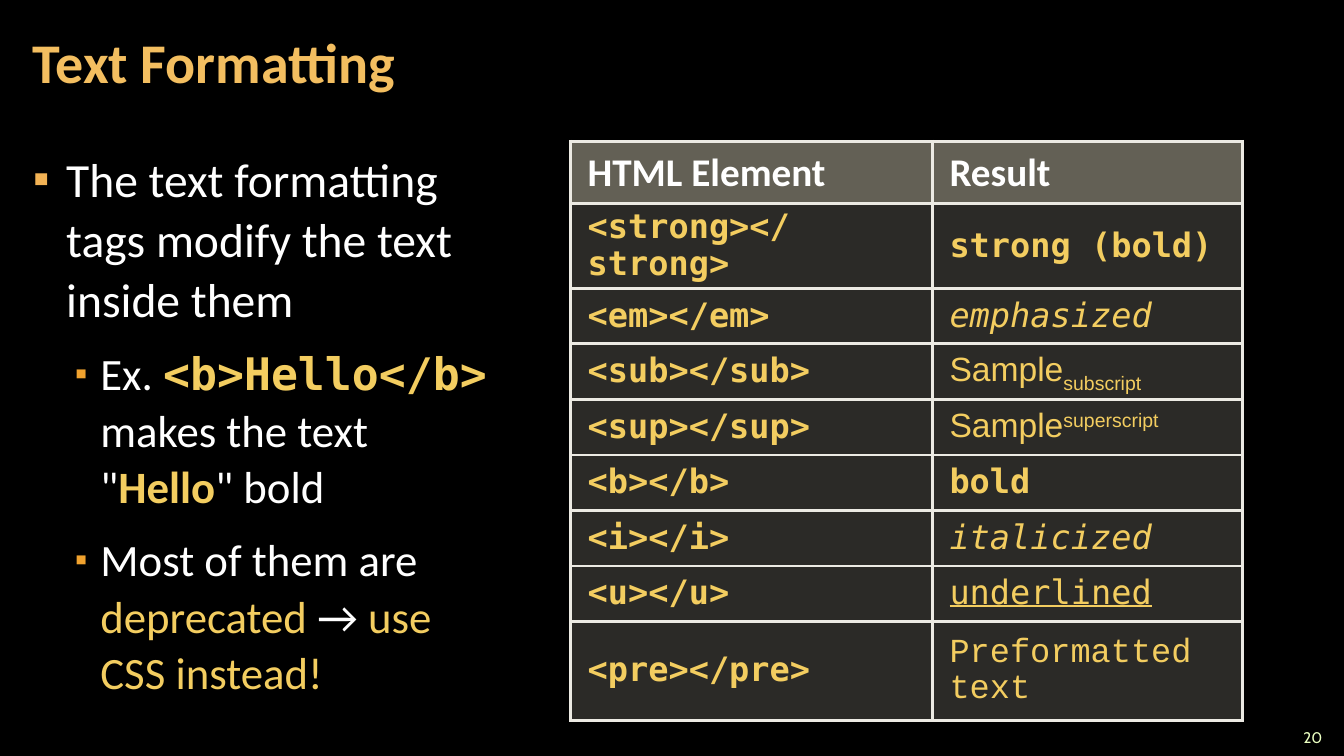
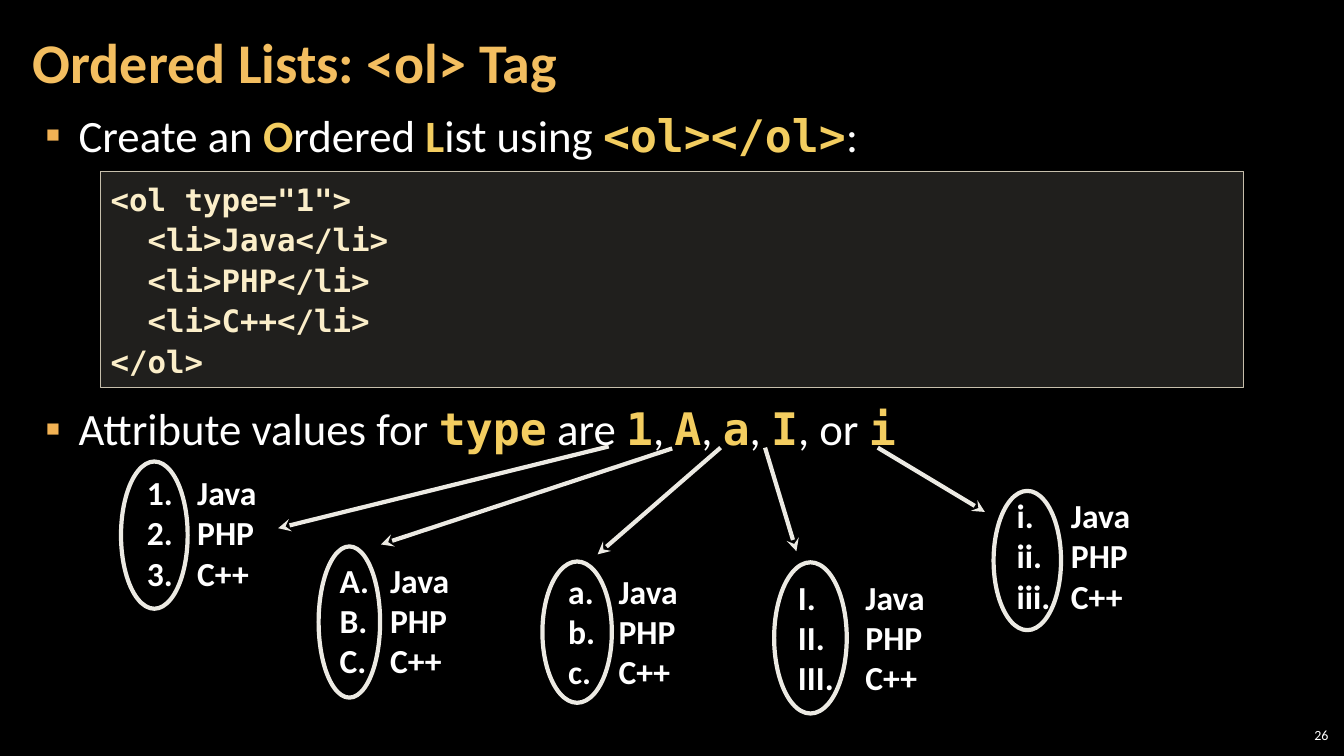
from typing import NamedTuple

from pptx import Presentation
from pptx.dml.color import RGBColor
from pptx.enum.shapes import MSO_CONNECTOR as Connector, MSO_SHAPE as Preset
from pptx.enum.text import MSO_ANCHOR as Anchor, MSO_AUTO_SIZE as AutoSize, PP_ALIGN as Align
from pptx.oxml.ns import qn
from pptx.oxml.xmlchemy import OxmlElement
from pptx.util import Cm, Pt

BLACK = RGBColor(0x00, 0x00, 0x00)
WHITE = RGBColor(0xFF, 0xFF, 0xFF)
TITLE_GOLD = RGBColor(0xF3, 0xBE, 0x60)
KEY_GOLD = RGBColor(0xF3, 0xCD, 0x60)
BULLET_GOLD = RGBColor(0xF2, 0xB2, 0x54)
SUB_BULLET_GOLD = RGBColor(0xF0, 0xA2, 0x2E)
CODE_CREAM = RGBColor(0xFB, 0xEE, 0xC9)
NUMBER_LIME = RGBColor(0xEB, 0xFF, 0xC2)
PANEL = RGBColor(0xD9, 0xD5, 0xC7)
HEADER_PANEL = RGBColor(0xC6, 0xC0, 0xAA)
CODE_EDGE = RGBColor(0xC7, 0xBF, 0xAC)
IVORY = RGBColor(0xEC, 0xEA, 0xE3)

SANS, MONO = "Calibri", "DejaVu Sans Mono"


class Style(NamedTuple):
    color: RGBColor = KEY_GOLD
    font: str = MONO
    bold: bool = False
    italic: bool = False
    underline: bool = False
    baseline: int = 0


PLAIN = Style(WHITE, SANS)
STRONG = Style(WHITE, SANS, bold=True)
HEADING = Style(TITLE_GOLD, SANS, bold=True)
ACCENT = Style(font=SANS)
KEY = Style(font=SANS, bold=True)
TAG = Style(bold=True)
ITALIC = Style(italic=True)
UNDERLINE = Style(underline=True)
SAMPLE = Style(font="Arial")
SUBSCRIPT = Style(font="Arial", baseline=-25)
SUPERSCRIPT = Style(font="Arial", baseline=30)
PREFORMATTED = Style(font="Courier New")
CODE = Style(CODE_CREAM, bold=True)


def add_xml(parent, tag, **attributes):
    child = OxmlElement(tag)
    for key, value in attributes.items():
        child.set(key, str(value))
    parent.append(child)
    return child


def set_alpha(fill_parent, percent):
    color = fill_parent.find(qn("a:solidFill")).find(qn("a:srgbClr"))
    add_xml(color, "a:alpha", val=percent * 1000)


class Deck:
    """Holds the shared style and the current slide."""

    def __init__(self):
        self.prs = Presentation()
        self.prs.slide_width, self.prs.slide_height = Cm(33.87), Cm(19.05)
        background = self.prs.slide_master.background.fill
        background.solid()
        background.fore_color.rgb = BLACK
        self.slide = None

    def frame(self, shape, margins=(0.25, 0.13), anchor=Anchor.TOP):
        frame = shape.text_frame
        frame.word_wrap = True
        frame.auto_size = AutoSize.NONE
        frame.vertical_anchor = anchor
        frame.margin_left = frame.margin_right = Cm(margins[0])
        frame.margin_top = frame.margin_bottom = Cm(margins[1])
        return frame

    def box(self, x, y, width, height, **layout):
        shape = self.slide.shapes.add_textbox(Cm(x), Cm(y), Cm(width), Cm(height))
        return self.frame(shape, **layout)

    def paragraph(self, frame, runs, size, spacing=1.0, gap=0, align=Align.LEFT, indent=0, hanging=0):
        paragraph = frame.add_paragraph() if frame.text else frame.paragraphs[0]
        paragraph.alignment = align
        paragraph.line_spacing = spacing
        paragraph.space_before = paragraph.space_after = Pt(gap)
        for text, style in runs:
            run = paragraph.add_run()
            run.text = text
            font = run.font
            font.size, font.name = Pt(size), style.font
            font.color.rgb = style.color
            font.bold, font.italic, font.underline = style.bold, style.italic, style.underline
            if style.baseline:
                run._r.get_or_add_rPr().set("baseline", str(style.baseline * 1000))
        properties = paragraph._p.get_or_add_pPr()
        properties.set("marL", str(Cm(indent)))
        properties.set("indent", str(-Cm(hanging)))
        return properties

    def bullet(self, frame, runs, size, level=0):
        indent, hanging, color, scale = (
            (0.84, 0.84, BULLET_GOLD, 100),
            (1.7, 0.64, SUB_BULLET_GOLD, 80),
        )[level]
        properties = self.paragraph(frame, runs, size, 1.05, 6, indent=indent, hanging=hanging)
        if level:
            properties.set("lvl", str(level))
        add_xml(add_xml(properties, "a:buClr"), "a:srgbClr", val=color)
        add_xml(properties, "a:buSzPct", val=scale * 1000)
        add_xml(properties, "a:buFont", typeface="Arial")
        add_xml(properties, "a:buChar", char="▪")

    def start(self, heading):
        self.slide = self.prs.slides.add_slide(self.prs.slide_layouts[5])
        title = self.slide.shapes.title
        title.left, title.top, title.width, title.height = Cm(0.53), Cm(0.1), Cm(26.6), Cm(3.07)
        frame = self.frame(title, (0.3, 0.1), Anchor.MIDDLE)
        self.paragraph(frame, [(heading, HEADING)], 40, 0.9)

    def number(self, text, style, size, **layout):
        frame = self.box(31.88, 18.21, 1.7, 0.64, **layout)
        self.paragraph(frame, [(text, style)], size, align=Align.RIGHT)

    def body(self, x, y, width, height):
        return self.box(x, y, width, height, margins=(0.3, 0.1))

    def table(self, x, y, widths, heights, rows):
        table = self.slide.shapes.add_table(
            len(rows), len(widths), Cm(x), Cm(y), Cm(sum(widths)), Cm(sum(heights))
        ).table
        table.horz_banding = False
        for column, width in zip(table.columns, widths):
            column.width = Cm(width)
        for index, (row, height, contents) in enumerate(zip(table.rows, heights, rows)):
            row.height = Cm(height)
            for cell, runs in zip(row.cells, contents):
                self.cell(cell, runs, is_header=index == 0)

    def cell(self, cell, runs, is_header):
        size, color, alpha = (28, HEADER_PANEL, 50) if is_header else (24, PANEL, 20)
        cell.vertical_anchor = Anchor.MIDDLE
        cell.margin_left = cell.margin_right = Cm(0.43)
        cell.margin_top = cell.margin_bottom = Cm(0.13)
        self.paragraph(cell.text_frame, runs, size, 0.95)
        properties = cell._tc.get_or_add_tcPr()
        for side in "LRTB":
            border = add_xml(properties, f"a:ln{side}", w=Pt(2.25))
            add_xml(add_xml(border, "a:solidFill"), "a:srgbClr", val=IVORY)
        cell.fill.solid()
        cell.fill.fore_color.rgb = color
        set_alpha(properties, alpha)

    def shape(self, preset, x, y, width, height, edge, weight):
        shape = self.slide.shapes.add_shape(preset, Cm(x), Cm(y), Cm(width), Cm(height))
        shape.shadow.inherit = False
        shape.fill.background()
        shape.line.color.rgb = edge
        shape.line.width = Pt(weight)
        return shape

    def code(self, x, y, width, height, lines):
        panel = self.shape(Preset.RECTANGLE, x, y, width, height, CODE_EDGE, 1)
        panel.fill.solid()
        panel.fill.fore_color.rgb = PANEL
        set_alpha(panel._element.spPr, 15)
        frame = self.frame(panel)
        for text, depth in lines:
            self.paragraph(frame, [(text, CODE)], 22, 1.1, indent=0.93 * depth)

    def numbered(self, x, y, scheme, indent, items):
        frame = self.box(x, y, 4.2, 3.33)
        for item in items:
            properties = self.paragraph(frame, [(item, STRONG)], 24, indent=indent, hanging=indent)
            add_xml(properties, "a:buFont", typeface=SANS)
            add_xml(properties, "a:buAutoNum", type=scheme)

    def arrow(self, start, end):
        arrow = self.slide.shapes.add_connector(Connector.STRAIGHT, *map(Cm, start + end))
        arrow.line.color.rgb = IVORY
        arrow.line.width = Pt(3)
        properties = arrow._element.spPr
        add_xml(properties.find(qn("a:ln")), "a:tailEnd", type="stealth")
        add_xml(properties, "a:effectLst")


def text_formatting(deck):
    deck.start("Text Formatting")
    points = deck.body(0.53, 3.6, 12.37, 14.4)
    deck.bullet(points, [("The text formatting tags modify the text inside them", PLAIN)], 34)
    deck.bullet(points, [
        ("Ex. ", PLAIN), ("<b>Hello</b>", TAG), (' makes the text "', PLAIN),
        ("Hello", KEY), ('" bold', PLAIN),
    ], 32, level=1)
    deck.bullet(points, [
        ("Most of them are ", PLAIN), ("deprecated ", ACCENT), ("→ ", PLAIN),
        ("use CSS instead!", ACCENT),
    ], 32, level=1)
    results = {
        "strong": [("strong (bold)", TAG)],
        "em": [("emphasized", ITALIC)],
        "sub": [("Sample", SAMPLE), ("subscript", SUBSCRIPT)],
        "sup": [("Sample", SAMPLE), ("superscript", SUPERSCRIPT)],
        "b": [("bold", TAG)],
        "i": [("italicized", ITALIC)],
        "u": [("underlined", UNDERLINE)],
        "pre": [("Preformatted text", PREFORMATTED)],
    }
    rows = [([("HTML Element", STRONG)], [("Result", STRONG)])]
    rows += [([(f"<{tag}></{tag}>", TAG)], result) for tag, result in results.items()]
    deck.table(14.38, 3.56, [9.12, 7.82], [1.57] + [1.4] * 7 + [2.49], rows)
    deck.number("20", Style(NUMBER_LIME, "Cabin"), 11)


def ordered_lists(deck):
    languages = ["Java", "PHP", "C++"]
    deck.start("Ordered Lists: <ol> Tag")
    deck.bullet(deck.body(0.84, 2.54, 32.16, 1.8), [
        ("Create an ", PLAIN), ("O", KEY), ("rdered ", PLAIN), ("L", KEY),
        ("ist using ", PLAIN), ("<ol></ol>", TAG), (":", PLAIN),
    ], 32)
    items = [(f"<li>{language}</li>", 1) for language in languages]
    deck.code(2.54, 4.32, 28.8, 5.44, [('<ol type="1">', 0), *items, ("</ol>", 0)])
    deck.bullet(deck.body(0.84, 9.93, 32.16, 1.8), [
        ("Attribute values for ", PLAIN), ("type", TAG), (" are ", PLAIN),
        ("1", TAG), (", ", PLAIN), ("A", TAG), (", ", PLAIN), ("a", TAG), (", ", PLAIN),
        ("I", TAG), (", or ", PLAIN), ("i", TAG),
    ], 32)
    examples = [
        ("arabicPeriod", 1.27, (3.45, 11.76), (3.05, 11.63, 1.68, 3.71), (15.34, 11.25), (7.01, 13.31)),
        ("alphaUcPeriod", 1.27, (8.31, 13.97), (8.03, 13.77, 1.55, 3.81), (16.94, 11.3), (9.6, 13.72)),
        ("alphaLcPeriod", 1.27, (14.07, 14.25), (13.67, 14.15, 1.75, 3.56), (18.16, 11.28), (15.06, 13.97)),
        ("romanUcPeriod", 1.7, (19.86, 14.4), (19.51, 14.17, 1.83, 3.81), (19.28, 11.28), (20.07, 13.89)),
        ("romanLcPeriod", 1.37, (25.37, 12.34), (25.04, 12.37, 1.7, 3.51), (22.12, 11.28), (24.82, 12.9)),
    ]
    for scheme, indent, corner, ring, start, end in examples:
        deck.numbered(*corner, scheme, indent, languages)
        deck.arrow(start, end)
        deck.shape(Preset.OVAL, *ring, IVORY, 3)
    deck.number("26", PLAIN, 10, margins=(0.1, 0.1), anchor=Anchor.MIDDLE)


def main():
    deck = Deck()
    text_formatting(deck)
    ordered_lists(deck)
    deck.prs.save("out.pptx")


if __name__ == "__main__":
    main()
